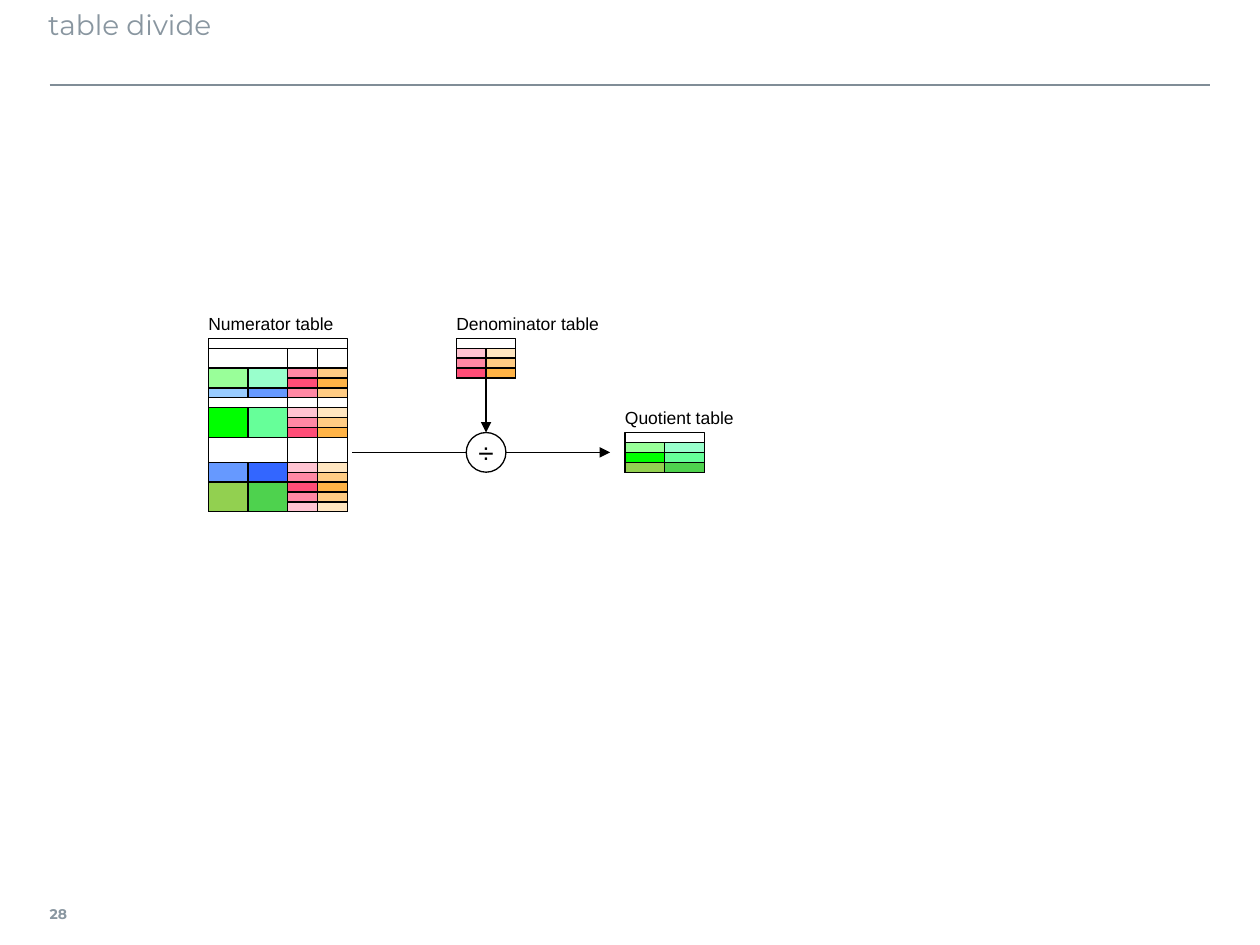
from dataclasses import dataclass

from lxml import etree
from pptx import Presentation
from pptx.dml.color import RGBColor
from pptx.enum.shapes import MSO_CONNECTOR, MSO_SHAPE
from pptx.enum.text import MSO_ANCHOR, PP_ALIGN
from pptx.oxml.ns import qn
from pptx.util import Cm, Pt

RECT, OVAL = MSO_SHAPE.RECTANGLE, MSO_SHAPE.OVAL
STRAIGHT = MSO_CONNECTOR.STRAIGHT
TOP, MIDDLE = MSO_ANCHOR.TOP, MSO_ANCHOR.MIDDLE
CENTER = PP_ALIGN.CENTER


@dataclass(frozen=True)
class Theme:
    heading_font: str = "Montserrat"
    label_font: str = "Arial"
    heading: str = "8996A0"
    rule: str = "808D97"
    ink: str = "000000"
    paper: str = "FFFFFF"
    title_size: float = 16
    symbol_size: float = 16
    label_size: float = 10
    number_size: float = 8
    line: float = 0.75
    rule_line: float = 1


THEME = Theme()

LIGHT = ("FFC4D2", "FFE6C1")
MID = ("FF88A4", "FFCC84")
DARK = ("FF4D77", "FFB346")
MINT = ("99FF99", "99FFCC")
SKY = ("99CCFF", "6699FF")
GREEN = ("00FF00", "66FF99")
BLUE = ("6699FF", "3366FF")
OLIVE = ("92D050", "4ED24E")

ROW = 0.2
KEY_W, VALUE_W = 0.8, 0.6
LABEL_W = 3.5
TABLE_TOP, AXIS_Y = 6.82, 9.12
NUMERATOR_X, DENOMINATOR_X, QUOTIENT_X = 4.2, 9.2, 12.6
CIRCLE = 0.8

BLANK = None
NUMERATOR = [
    (BLANK, 0.4, []),
    (MINT, 0.4, [MID, DARK]),
    (SKY, 0.2, [MID]),
    (BLANK, 0.2, []),
    (GREEN, 0.6, [LIGHT, MID, DARK]),
    (BLANK, 0.5, []),
    (BLUE, 0.4, [LIGHT, MID]),
    (OLIVE, 0.6, [DARK, MID, LIGHT]),
]


def add_outline(slide, kind, x, y, w, h, fill=None):
    sp = slide.shapes.add_shape(kind, Cm(x), Cm(y), Cm(w), Cm(h))
    sp.shadow.inherit = False
    if fill:
        sp.fill.solid()
        sp.fill.fore_color.rgb = RGBColor.from_string(fill)
    else:
        sp.fill.background()
    sp.line.color.rgb = RGBColor.from_string(THEME.ink)
    sp.line.width = Pt(THEME.line)
    return sp


def add_cells(slide, x, y, width, height, fills):
    for i, fill in enumerate(fills):
        add_outline(slide, RECT, x + i * width, y, width, height, fill)


def add_line(slide, x1, y1, x2, y2, color=THEME.ink, width=THEME.line, arrow=False):
    cn = slide.shapes.add_connector(STRAIGHT, Cm(x1), Cm(y1), Cm(x2), Cm(y2))
    cn.line.color.rgb = RGBColor.from_string(color)
    cn.line.width = Pt(width)
    if arrow:
        etree.SubElement(cn.line._get_or_add_ln(), qn("a:tailEnd"), type="triangle")
    etree.SubElement(cn._element.spPr, qn("a:effectLst"))
    return cn


def set_text(sp, text, size, font, color, insets, anchor=MIDDLE, wrap=False, bold=False):
    tf = sp.text_frame
    tf.text = text
    tf.word_wrap = wrap
    tf.vertical_anchor = anchor
    tf.margin_left, tf.margin_top, tf.margin_right, tf.margin_bottom = map(Cm, insets)
    f = tf.paragraphs[0].runs[0].font
    f.size, f.name, f.bold = Pt(size), font, bold
    f.color.rgb = RGBColor.from_string(color)
    return tf


def add_text(slide, x, y, w, h, *args, **kwargs):
    tb = slide.shapes.add_textbox(Cm(x), Cm(y), Cm(w), Cm(h))
    set_text(tb, *args, **kwargs)


def add_label(slide, text, table_x, table_y):
    add_text(slide, table_x - 0.1, table_y - 0.5, LABEL_W, 0.4, text,
             THEME.label_size, THEME.label_font, THEME.ink, [0.1] * 4)


def add_numerator(slide):
    x, y = NUMERATOR_X, TABLE_TOP + ROW
    value_x = x + 2 * KEY_W
    for keys, height, values in NUMERATOR:
        if keys is BLANK:
            add_outline(slide, RECT, x, y, 2 * KEY_W, height, THEME.paper)
            add_cells(slide, value_x, y, VALUE_W, height, [THEME.paper] * 2)
        else:
            add_cells(slide, x, y, KEY_W, height, keys)
            for i, pair in enumerate(values):
                add_cells(slide, value_x, y + i * ROW, VALUE_W, ROW, pair)
        y += height
    add_outline(slide, RECT, x, TABLE_TOP, 2 * (KEY_W + VALUE_W), y - TABLE_TOP)
    add_label(slide, "Numerator table", x, TABLE_TOP)


def add_small_table(slide, label, x, y, width, rows):
    for i, pair in enumerate(rows, 1):
        add_cells(slide, x, y + i * ROW, width, ROW, pair)
    add_label(slide, label, x, y)
    return add_outline(slide, RECT, x, y, 2 * width, (len(rows) + 1) * ROW)


def add_division(slide, denominator):
    x = DENOMINATOR_X + VALUE_W
    r = CIRCLE / 2
    top = AXIS_Y - r
    circle = add_outline(slide, OVAL, x - r, top, CIRCLE, CIRCLE)
    tf = set_text(circle, "÷", THEME.symbol_size, THEME.label_font, THEME.ink, [0.1] * 4)
    tf.paragraphs[0].alignment = CENTER
    down = add_line(slide, x, TABLE_TOP + 4 * ROW, x, top, arrow=True)
    down.begin_connect(denominator, 2)
    down.end_connect(circle, 0)
    add_line(slide, 7.1, AXIS_Y, x - r, AXIS_Y)
    add_line(slide, x + r, AXIS_Y, 12.3, AXIS_Y, arrow=True)


def add_page_frame(slide):
    add_line(slide, 1, 1.72, 24.4, 1.72, THEME.rule, THEME.rule_line)
    add_text(slide, 0.97, 0.03, 23.4, 1.6, "table divide", THEME.title_size,
             THEME.heading_font, THEME.heading, (0, 0.13, 0.25, 0.13),
             anchor=TOP, wrap=True)
    add_text(slide, 1, 17.93, 0.9, 1, "28", THEME.number_size,
             THEME.heading_font, THEME.heading, (0, 0.13, 0.2, 0.13), bold=True)


def main():
    prs = Presentation()
    prs.slide_width, prs.slide_height = Cm(25.4), Cm(19.05)
    slide = prs.slides.add_slide(prs.slide_layouts[6])
    add_page_frame(slide)
    add_numerator(slide)
    denominator = add_small_table(slide, "Denominator table", DENOMINATOR_X, TABLE_TOP,
                                  VALUE_W, [LIGHT, MID, DARK])
    add_small_table(slide, "Quotient table", QUOTIENT_X, AXIS_Y - 2 * ROW,
                    KEY_W, [MINT, GREEN, OLIVE])
    add_division(slide, denominator)
    prs.save("out.pptx")


if __name__ == "__main__":
    main()
